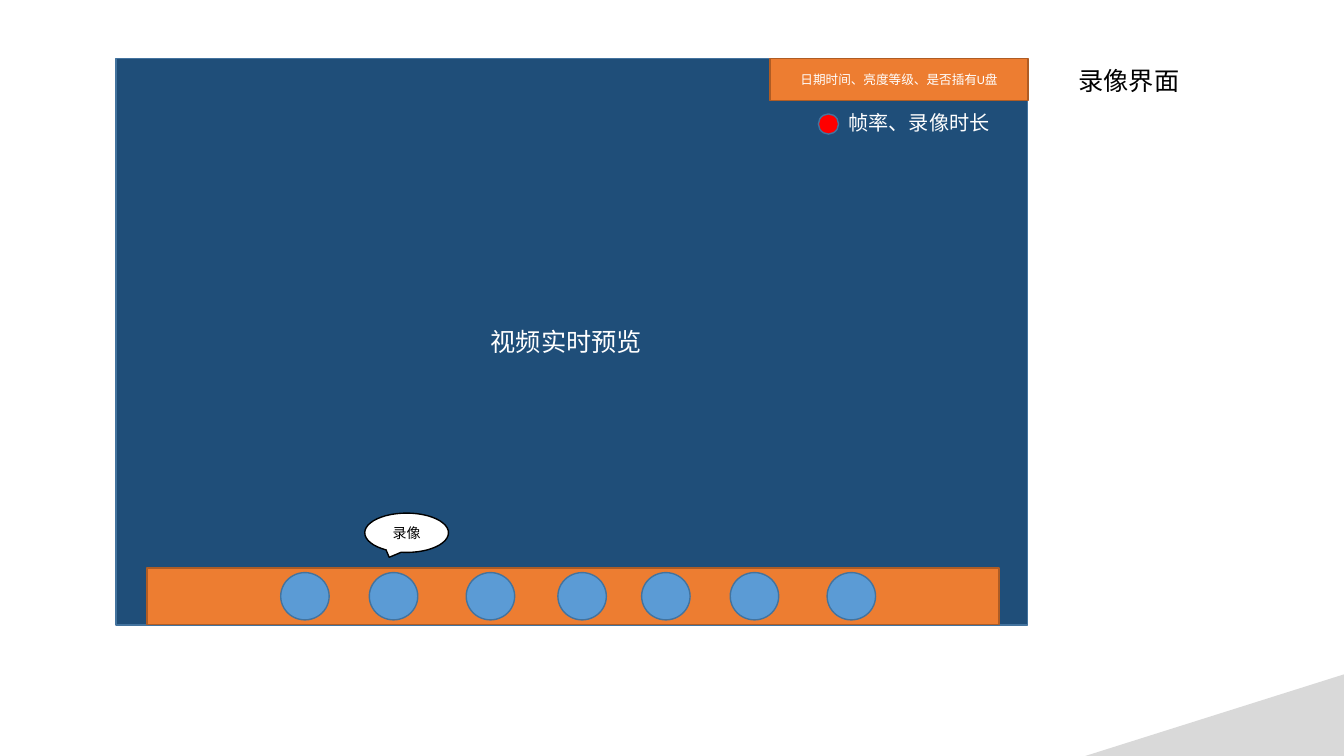
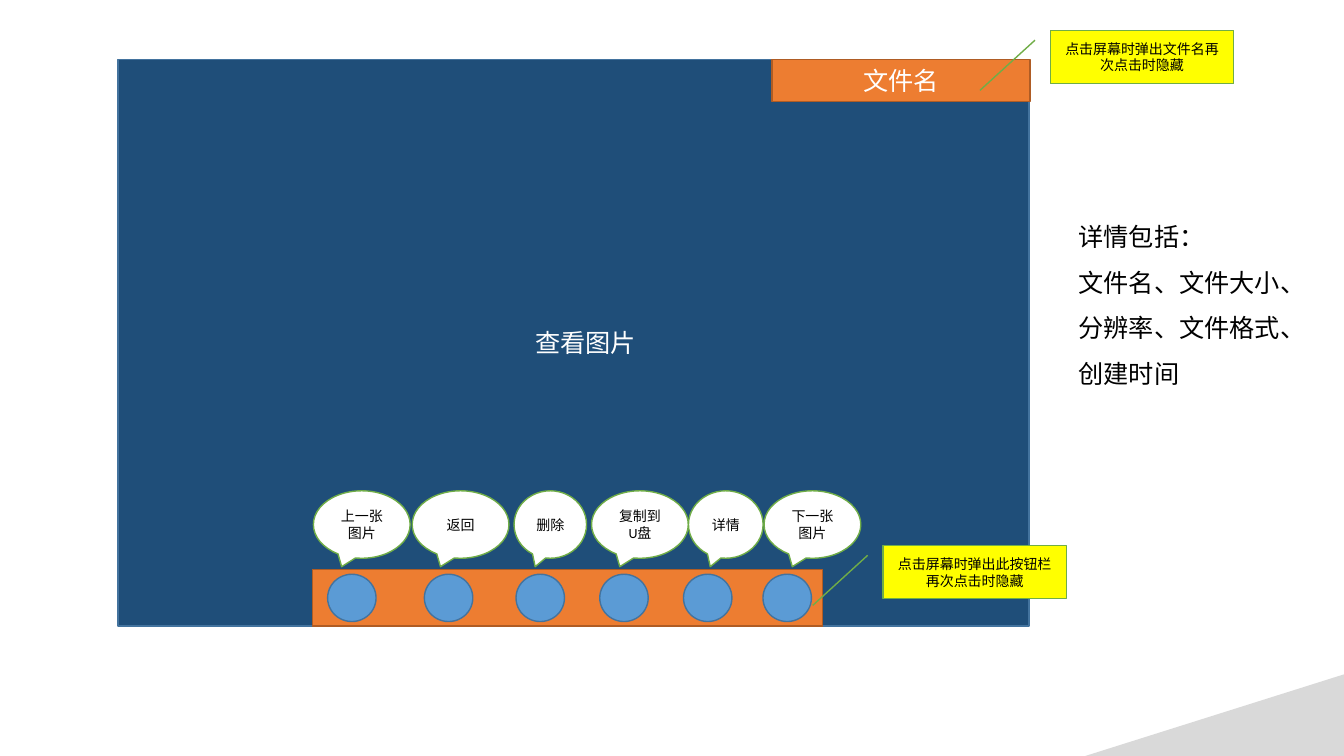
"""Build two screen mock-ups: the recording view and the picture view."""
from dataclasses import dataclass

from lxml.etree import SubElement
from pptx import Presentation
from pptx.dml.color import RGBColor as Rgb
from pptx.enum.shapes import MSO_SHAPE as Kind
from pptx.enum.text import MSO_ANCHOR as Anchor
from pptx.enum.text import MSO_AUTO_SIZE as Fit
from pptx.enum.text import PP_ALIGN as Align
from pptx.oxml.ns import qn
from pptx.shapes.autoshape import Shape
from pptx.slide import Slide
from pptx.util import Pt

FONT = "Calibri"
HUES = {
    "screen": "1F4E79",
    "edge": "43739E",
    "bar": "ED7D31",
    "rust": "AF5C24",
    "button": "5B9BD5",
    "green": "70AD47",
    "note": "FFFF00",
    "red": "FF0000",
    "grey": "D9D9D9",
    "white": "FFFFFF",
    "black": "000000",
}


@dataclass(frozen=True)
class Box:
    """A place on the slide, in points."""
    left: float
    top: float
    width: float
    height: float


@dataclass(frozen=True)
class Look:
    """A preset shape with its colours and text style."""
    kind: Kind
    fill: str
    line: str = ""
    ink: str = "black"
    size: float = 10


@dataclass(frozen=True)
class Bubble:
    """A speech bubble above a button."""
    left: float
    width: float
    text: str


SCREEN = Look(Kind.RECTANGLE, "screen", "edge")
BAR = Look(Kind.RECTANGLE, "bar", "rust")
SMALL = Look(Kind.RECTANGLE, "bar", "rust", "white", 9)
LARGE = Look(Kind.RECTANGLE, "bar", "rust", "white", 18)
BUTTON = Look(Kind.OVAL, "button", "edge")
DOT = Look(Kind.OVAL, "red", "edge")
SPEECH = Look(Kind.OVAL_CALLOUT, "white", "black")
HINT = Look(Kind.OVAL_CALLOUT, "white", "green")
NOTE = Look(Kind.LINE_CALLOUT_1, "note", "green")
CORNER = Look(Kind.RIGHT_TRIANGLE, "grey")


def tint(name: str) -> Rgb:
    """Give the named colour."""
    return Rgb.from_string(HUES[name])


def write(shape: Shape, text: str, size: float, ink: str,
          align: Align = Align.LEFT, anchor: Anchor = Anchor.TOP) -> None:
    """Set and style the text of a shape."""
    frame = shape.text_frame
    frame.text = text
    frame.word_wrap = True
    frame.auto_size = Fit.NONE
    frame.vertical_anchor = anchor
    for para in frame.paragraphs:
        para.alignment = align
        for run in para.runs:
            run.font.name = FONT
            run.font.size = Pt(size)
            run.font.color.rgb = tint(ink)


def place(shape: Shape, box: Box) -> None:
    """Move and size a shape."""
    shape.left, shape.top = Pt(box.left), Pt(box.top)
    shape.width, shape.height = Pt(box.width), Pt(box.height)


def draw(slide: Slide, look: Look, box: Box, text: str = "") -> Shape:
    """Add a preset shape."""
    shape = slide.shapes.add_shape(
        look.kind, Pt(box.left), Pt(box.top), Pt(box.width), Pt(box.height))
    shape.shadow.inherit = False
    shape.fill.solid()
    shape.fill.fore_color.rgb = tint(look.fill)
    if look.line:
        shape.line.color.rgb = tint(look.line)
        shape.line.width = Pt(1)
    else:
        shape.line.fill.background()
    if text:
        write(shape, text, look.size, look.ink, Align.CENTER, Anchor.MIDDLE)
    return shape


def label(slide: Slide, box: Box, text: str, size: float) -> None:
    """Add white text on the screen."""
    shape = slide.shapes.add_textbox(
        Pt(box.left), Pt(box.top), Pt(box.width), Pt(box.height))
    write(shape, text, size, "white")


def title(slide: Slide, box: Box, text: str, ink: str) -> None:
    """Fill the title placeholder."""
    place(slide.shapes.title, box)
    write(slide.shapes.title, text, 18, ink)


def detail(slide: Slide, box: Box, text: str) -> None:
    """Fill the body placeholder with plain, wide-set lines."""
    body = slide.placeholders[1]
    place(body, box)
    write(body, text, 18, "black")
    for para in body.text_frame.paragraphs:
        para.line_spacing = 1.5
        para.space_before = Pt(0)
        props = para._p.get_or_add_pPr()
        props.set("marL", "0")
        props.set("indent", "0")
        SubElement(props, qn("a:buNone"))


def screen(slide: Slide, left: float, top: float, look: Look, tag: str) -> None:
    """Draw the screen behind the title, with its tag at top right."""
    panel = draw(slide, SCREEN, Box(left, top, 651, 404.6))
    slide.shapes.title.element.addprevious(panel.element)
    draw(slide, look, Box(left + 467.2, top, 184.3, 30.2), tag)


def tools(slide: Slide, bar: Box, lefts: list[float]) -> None:
    """Draw the button bar."""
    draw(slide, BAR, bar)
    for left in lefts:
        draw(slide, BUTTON, Box(left, bar.top + 3.4, 34.6, 33.8))


def corner(slide: Slide) -> None:
    """Draw the grey wedge at bottom right."""
    wedge = draw(slide, CORNER, Box(775.2, 481.7, 184.8, 58.3))
    wedge.element.spPr.get_or_add_xfrm().set("flipH", "1")


def record(slide: Slide) -> None:
    """Build the recording view."""
    title(slide, Box(763.2, 43.2, 89.3, 28.8), "录像界面", "black")
    screen(slide, 82.8, 41.8, SMALL, "日期时间、亮度等级、是否插有U盘")
    label(slide, Box(343.4, 229.7, 130.3, 28.8), "视频实时预览", 18)
    tools(slide, Box(105.1, 405.6, 608.4, 40.3),
          [200.5, 263.8, 333, 398.5, 458.3, 521.6, 590.8])
    draw(slide, SPEECH, Box(260.6, 366.5, 59.8, 28.1), "录像")
    label(slide, Box(599, 75.6, 125.3, 31.7), "帧率、录像时长", 14.4)
    draw(slide, DOT, Box(584.6, 81.4, 14.4, 14.4))
    corner(slide)


def view(slide: Slide) -> None:
    """Build the picture view."""
    title(slide, Box(375.1, 230.4, 97.9, 28.8), "查看图片", "white")
    screen(slide, 84.2, 42.5, LARGE, "文件名")
    tools(slide, Box(223.2, 406.8, 364.3, 40.3),
          [234, 303.1, 368.6, 428.4, 488.2, 545])
    for hint in [
        Bubble(223.9, 69.1, "上一张图片"),
        Bubble(294.5, 69.1, "返回"),
        Bubble(367.2, 51.8, "删除"),
        Bubble(422.6, 69.1, "复制到U盘"),
        Bubble(491.8, 53.3, "详情"),
        Bubble(545.8, 69.1, "下一张图片"),
    ]:
        draw(slide, HINT, Box(hint.left, 350.6, hint.width, 48.2), hint.text)
    draw(slide, NOTE, Box(630.7, 389.5, 131, 38.2),
         "点击屏幕时弹出此按钮栏再次点击时隐藏")
    draw(slide, NOTE, Box(750.2, 21.6, 131, 38.2),
         "点击屏幕时弹出文件名再次点击时隐藏")
    detail(slide, Box(763.2, 144, 162.7, 136.8),
           "详情包括：\n文件名、文件大小、分辨率、文件格式、创建时间")
    corner(slide)


def main() -> None:
    """Make and save the deck."""
    deck = Presentation()
    deck.slide_width, deck.slide_height = Pt(960), Pt(540)
    record(deck.slides.add_slide(deck.slide_layouts[5]))
    view(deck.slides.add_slide(deck.slide_layouts[1]))
    deck.save("out.pptx")


if __name__ == "__main__":
    main()
